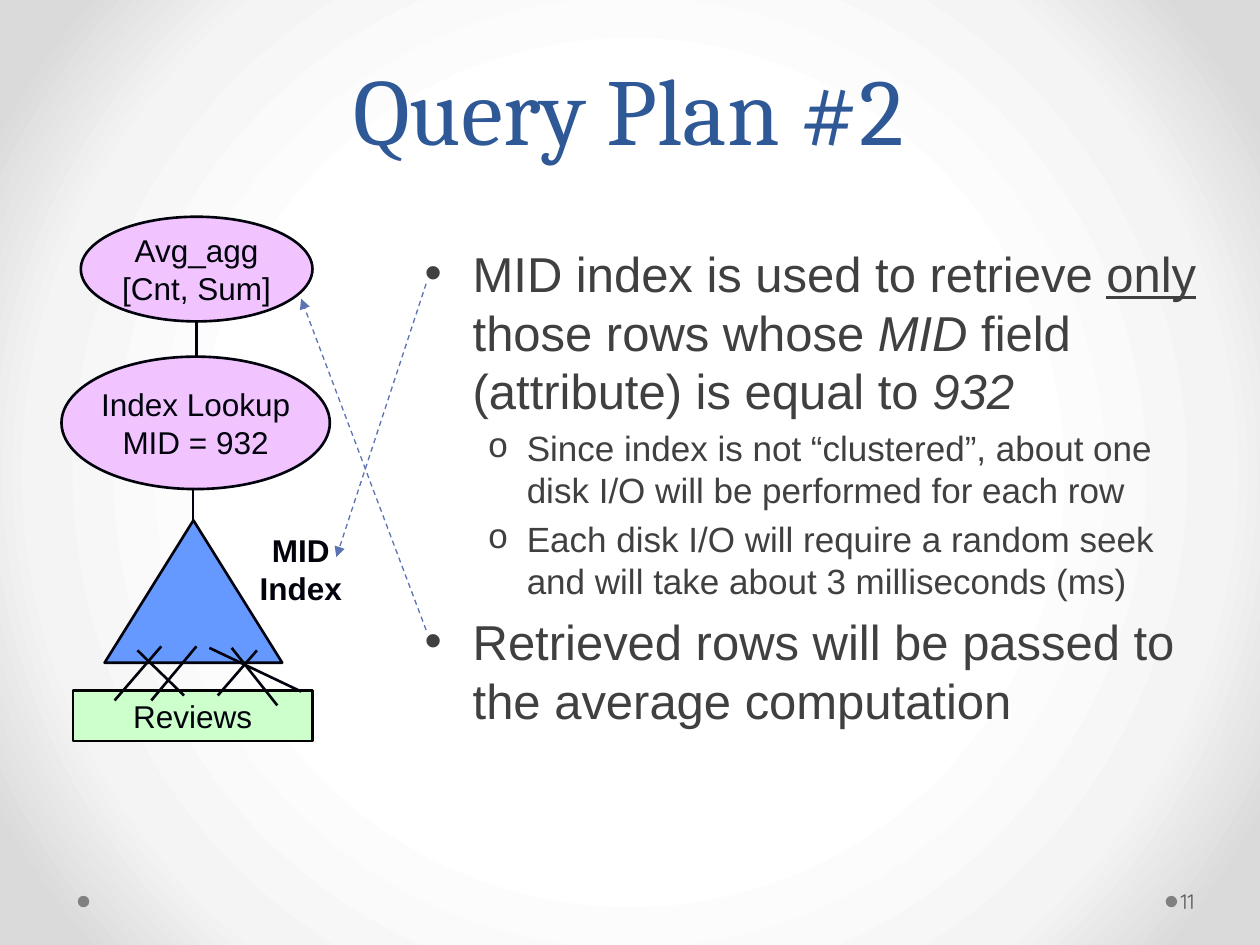
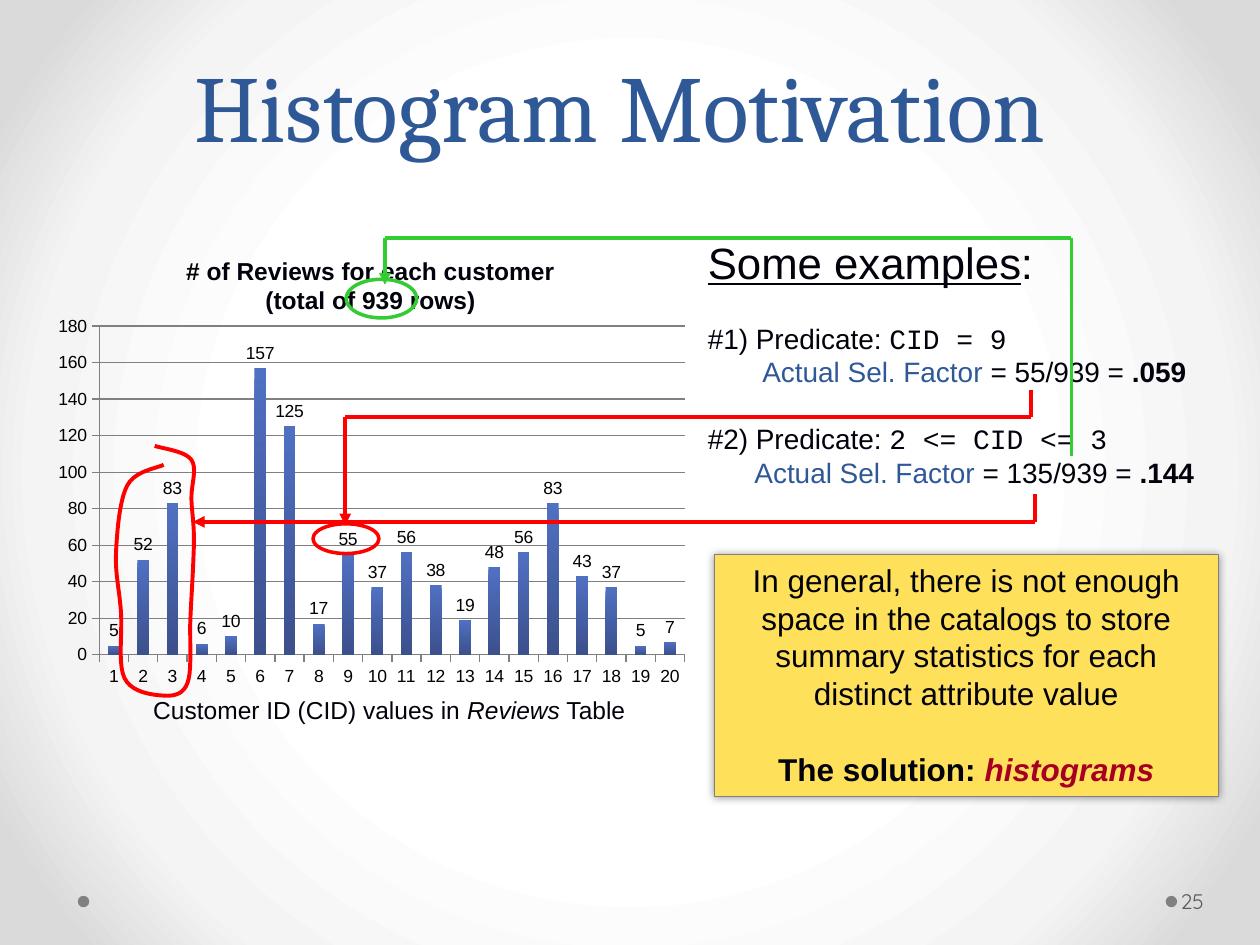
from dataclasses import dataclass

from lxml import etree
from pptx import Presentation
from pptx import util as u
from pptx.chart import data as chart_data
from pptx.dml.color import RGBColor
from pptx.enum import chart as charts, dml, shapes, text
from pptx.oxml import parse_xml
from pptx.oxml.ns import nsdecls, qn

TITLE_BLUE = RGBColor(0x2F, 0x58, 0x97)
INK = RGBColor(0x01, 0x02, 0x0B)
BLACK = RGBColor(0, 0, 0)
BODY_GRAY = RGBColor(0x40, 0x40, 0x40)
NUMBER_GRAY = RGBColor(0x59, 0x59, 0x59)
GRAY = RGBColor(0x80, 0x80, 0x80)
PINK = RGBColor(0xF1, 0xC4, 0xFF)
INDEX_BLUE = RGBColor(0x66, 0x99, 0xFF)
TABLE_GREEN = RGBColor(0xCC, 0xFF, 0xCC)
LINK_BLUE = RGBColor(0x5C, 0x72, 0xB2)
BAR_TOP = RGBColor(0x50, 0x70, 0xC2)
BAR_BOTTOM = RGBColor(0x3C, 0x50, 0x8C)
YELLOW = RGBColor(0xFF, 0xE0, 0x5B)
RED = RGBColor(0xFF, 0, 0)
GREEN = RGBColor(0x33, 0xCC, 0x33)
DARK_RED = RGBColor(0xA5, 0, 0x21)

BACKGROUND_STOPS = ((50, "FFFFFF"), (76, "F4F4F4"), (92, "DADADA"))
REVIEWS_PER_CUSTOMER = (5, 52, 83, 6, 10, 157, 125, 17, 55, 37,
                        56, 38, 19, 48, 56, 83, 43, 37, 5, 7)
LEFT, CENTER = text.PP_ALIGN.LEFT, text.PP_ALIGN.CENTER
TOP, MIDDLE, BOTTOM = (text.MSO_ANCHOR.TOP, text.MSO_ANCHOR.MIDDLE,
                       text.MSO_ANCHOR.BOTTOM)
OVAL = shapes.MSO_SHAPE.OVAL
RECTANGLE = shapes.MSO_SHAPE.RECTANGLE


@dataclass
class Para:
    """Spans are strings or (string, font settings) pairs; before is in points, indents in cm."""
    spans: tuple
    size: float = 18
    before: float = 0
    left: float = 0
    hang: float = 0
    bullet: str = ""
    bullet_font: str = "Arial"
    exact_line: float = 0


def set_font(font, color=None, **settings):
    for name, value in settings.items():
        setattr(font, name, value)
    if color is not None:
        font.color.rgb = color


def smooth_curve(points, steps=10):
    """Return points on a Catmull-Rom curve through the given points."""
    padded = [points[0], *points, points[-1]]
    curve = [points[0]]
    for a, b, c, d in zip(padded, padded[1:], padded[2:], padded[3:]):
        for step in range(1, steps + 1):
            t = step / steps
            curve.append(tuple(
                (2 * q + (r - p) * t + (2 * p - 5 * q + 4 * r - s) * t ** 2
                 + (3 * q - p - 3 * r + s) * t ** 3) / 2
                for p, q, r, s in zip(a, b, c, d)))
    return curve


class SlideBuilder:
    """Holds the deck, the shared style and the slide being filled."""

    def __init__(self):
        self.deck = Presentation()
        self.deck.slide_width, self.deck.slide_height = u.Cm(25.4), u.Cm(19.05)
        self.page = None

    def start(self, title, title_place, number):
        self.page = self.deck.slides.add_slide(self.deck.slide_layouts[6])
        self.background()
        for left in (23.5, 1.57):
            self.shape(OVAL, (left, 18.06, 0.23, 0.23), GRAY)
        self.text_box(title_place, [Para((title,), 54, exact_line=58)], CENTER,
                      BOTTOM, name="Cambria", color=TITLE_BLUE)
        box = self.text_box((23.72, 17.65, 1.55, 1.02), [Para((number,), 12)],
                            anchor=MIDDLE, name="Quicksand", color=NUMBER_GRAY)
        box.text_frame.margin_left = u.Cm(0.08)

    def background(self):
        self.page.background.fill.gradient()
        gradient = next(self.page.element.iter(qn("a:gradFill")))
        stops = "".join(f'<a:gs pos="{at}000"><a:srgbClr val="{color}"/></a:gs>'
                        for at, color in BACKGROUND_STOPS)
        gradient.getparent().replace(gradient, parse_xml(
            f'<a:gradFill {nsdecls("a")} rotWithShape="1"><a:gsLst>{stops}</a:gsLst>'
            '<a:path path="circle"><a:fillToRect l="50000" t="50000" r="50000" '
            'b="50000"/></a:path></a:gradFill>'))

    def fill_text(self, frame, paras, align=LEFT, anchor=TOP, wrap=True,
                  name="Arial", color=INK, bold=None):
        frame.word_wrap = wrap
        frame.vertical_anchor = anchor
        for index, item in enumerate(paras):
            para = frame.add_paragraph() if index else frame.paragraphs[0]
            para.alignment = align
            para.space_before = u.Pt(item.before)
            if item.exact_line:
                para.line_spacing = u.Pt(item.exact_line)
            properties = para._p.get_or_add_pPr()
            properties.set("marL", str(u.Cm(item.left)))
            properties.set("indent", str(u.Cm(-item.hang)))
            if item.bullet:
                etree.SubElement(properties, qn("a:buFont"), typeface=item.bullet_font)
                etree.SubElement(properties, qn("a:buChar"), char=item.bullet)
            set_font(para.font, color, name=name, size=u.Pt(item.size), bold=bold)
            for span in item.spans:
                words, settings = (span, {}) if isinstance(span, str) else span
                for row, line in enumerate(words.split("\n")):
                    if row:
                        para.add_line_break()
                    run = para.add_run()
                    run.text = line
                    set_font(run.font, **settings)

    def text_box(self, place, paras, *args, **settings):
        box = self.page.shapes.add_textbox(*map(u.Cm, place))
        self.fill_text(box.text_frame, paras, *args, **settings)
        return box

    def outline(self, shape, color, width):
        shape.line.color.rgb = color
        shape.line.width = u.Pt(width)

    def shape(self, kind, place, fill=None, line=None, width=1.5, label=None):
        shape = self.page.shapes.add_shape(kind, *map(u.Cm, place))
        shape.shadow.inherit = False
        if fill is None:
            shape.fill.background()
        else:
            shape.fill.solid()
            shape.fill.fore_color.rgb = fill
        if line is None:
            shape.line.fill.background()
        else:
            self.outline(shape, line, width)
        if label:
            self.fill_text(shape.text_frame, [Para((label,))], CENTER, MIDDLE,
                           wrap=False)
        return shape

    def glow(self, shape):
        """Give the shape a soft shadow on all sides."""
        effects = shape._element.spPr.find(qn("a:effectLst"))
        effects.append(parse_xml(
            f'<a:outerShdw {nsdecls("a")} blurRad="{u.Pt(5)}" dist="0" dir="0">'
            '<a:srgbClr val="000000"><a:alpha val="40000"/></a:srgbClr></a:outerShdw>'))

    def line(self, start, end, color=INK, width=1.5, dashed=False, arrow=False):
        line = self.page.shapes.add_connector(
            shapes.MSO_CONNECTOR.STRAIGHT, *map(u.Cm, (*start, *end)))
        self.outline(line, color, width)
        if dashed:
            line.line.dash_style = dml.MSO_LINE.DASH
        if arrow:
            etree.SubElement(line.line._get_or_add_ln(), qn("a:tailEnd"), type="triangle")
        etree.SubElement(line._element.spPr, qn("a:effectLst"))

    def route(self, points, color):
        """Draw straight legs through the points, with an arrowhead on the last."""
        for start, end in zip(points, points[1:]):
            self.line(start, end, color, 2.25, arrow=end == points[-1])

    def curve(self, points, color):
        first, *rest = [(u.Cm(x), u.Cm(y)) for x, y in smooth_curve(points)]
        builder = self.page.shapes.build_freeform(*first)
        builder.add_line_segments(rest, close=False)
        curve = builder.convert_to_shape()
        curve.shadow.inherit = False
        curve.fill.background()
        self.outline(curve, color, 2.25)

    def column_chart(self, place, values, plot_area):
        source = chart_data.CategoryChartData()
        source.categories = [str(number + 1) for number in range(len(values))]
        source.add_series("Series 1", values)
        chart = self.page.shapes.add_chart(
            charts.XL_CHART_TYPE.COLUMN_CLUSTERED, *map(u.Cm, place), source).chart
        chart.has_legend = chart.has_title = False
        set_font(chart.font, BLACK, name="Arial", size=u.Pt(10))

        plot = chart.plots[0]
        plot.gap_width = 150
        plot.vary_by_categories = False
        plot.has_data_labels = True
        plot.data_labels.show_value = True
        plot.data_labels.position = charts.XL_LABEL_POSITION.OUTSIDE_END
        fill = plot.series[0].format.fill
        fill.gradient()
        fill.gradient_angle = 270
        for stop, color in zip(fill.gradient_stops, (BAR_TOP, BAR_BOTTOM)):
            stop.color.rgb = color

        scale = chart.value_axis
        scale.minimum_scale, scale.maximum_scale, scale.major_unit = 0, 180, 20
        scale.has_major_gridlines = True
        for axis in (scale, chart.category_axis):
            axis.major_tick_mark = charts.XL_TICK_MARK.OUTSIDE
            axis.format.line.color.rgb = GRAY
        scale.major_gridlines.format.line.color.rgb = GRAY

        area = next(chart.element.iter(qn("c:plotArea")))
        for layout in area.findall(qn("c:layout")):
            area.remove(layout)
        sizes = "".join(f'<c:{key} val="{value}"/>'
                        for key, value in zip("xywh", plot_area))
        area.insert(0, parse_xml(
            f'<c:layout {nsdecls("c")}><c:manualLayout><c:layoutTarget val="inner"/>'
            f'<c:xMode val="edge"/><c:yMode val="edge"/>{sizes}'
            '</c:manualLayout></c:layout>'))


def add_query_plan(slide):
    slide.start("Query Plan #2", (1.24, 0.91, 22.86, 2.54), "11")
    italic = {"italic": True}
    main_point = {"size": 28, "left": 0.97, "hang": 0.97, "bullet": "•"}
    detail = {"size": 20, "before": 4, "left": 2.06, "hang": 0.79,
              "bullet": "o", "bullet_font": "Courier New"}
    slide.text_box((8.31, 4.78, 16.33, 11.4), [
        Para(("MID index is used to retrieve ", ("only", {"underline": True}),
              " those rows whose ", ("MID", italic),
              " field (attribute) is equal to ", ("932", italic)), **main_point),
        Para(("Since index is not “clustered”, about one disk I/O will be "
              "performed for each row",), **detail),
        Para(("Each disk I/O will require a random seek and will take about "
              "3 milliseconds (ms)",), **detail),
        Para(("Retrieved rows will be passed to the average computation",),
             before=5.6, **main_point),
    ], color=BODY_GRAY)

    slide.shape(OVAL, (1.63, 4.37, 4.67, 2.11), PINK, INK, label="Avg_agg\n[Cnt, Sum]")
    slide.shape(OVAL, (1.24, 7.19, 5.41, 2.67), PINK, INK,
                label="Index Lookup\nMID = 932")
    slide.line((3.96, 6.48), (3.96, 7.19))
    slide.text_box((4.67, 10.59, 2.79, 1.8), [Para(("MID Index",))], CENTER, bold=True)
    slide.line((3.89, 9.83), (3.89, 10.59))
    slide.shape(shapes.MSO_SHAPE.ISOSCELES_TRIANGLE, (2.11, 10.49, 3.58, 2.87),
                INDEX_BLUE, INK)
    slide.shape(RECTANGLE, (1.47, 13.92, 4.83, 1.02), TABLE_GREEN, BLACK,
                label="Reviews")
    row_pointers = (
        ((2.77, 13.11), (3.71, 14.02)), ((3.25, 13.03), (2.31, 14.12)),
        ((3.96, 13.03), (3.05, 14.12)), ((4.67, 13.06), (5.59, 14.22)),
        ((5.18, 13.11), (4.39, 14.02)), ((4.22, 13.06), (6.07, 13.94)))
    for start, end in row_pointers:
        slide.line(start, end)
    for start, end in (((8.59, 5.72), (6.78, 11.23)), ((8.59, 12.7), (6.07, 6.02))):
        slide.line(start, end, LINK_BLUE, 0.75, dashed=True, arrow=True)


def add_histogram_motivation(slide):
    slide.start("Histogram Motivation", (1.7, 1.22, 21.59, 2.16), "25")
    slide.column_chart((-0.97, 6.02, 14.86, 8.53), REVIEWS_PER_CUSTOMER,
                       (0.2, 0.065, 0.794, 0.777))
    slide.text_box((2.11, 5.03, 10.72, 1.45),
                   [Para(("# of Reviews for each customer",), 14),
                    Para(("(total of 939 rows)",), 14)], CENTER, bold=True)
    slide.text_box((2.84, 13.89, 10.08, 0.86), [
        Para(("Customer ID (CID) values in ", ("Reviews", {"italic": True}),
              " Table"), 14)], wrap=False)

    code, bold = {"name": "Courier New"}, {"bold": True}
    factor = ("Actual Sel. Factor", {"color": TITLE_BLUE})
    examples = [Para((("Some examples", {"underline": True}), ":"), 25)]
    for number, predicate, ratio, result, left in (
            (1, "CID = 9", "55/939", ".059", 1.1),
            (2, "2 <= CID <= 3", "135/939", ".144", 0.94)):
        examples += [
            Para((f"#{number}) Predicate: ", (predicate, code)), 16, before=19),
            Para((factor, f" = {ratio} = ", (result, bold)), 16, left=left)]
    slide.text_box((14.02, 4.62, 11.38, 6.12), examples)

    note = slide.shape(RECTANGLE, (14.4, 11.18, 10.16, 4.88), YELLOW, GRAY, 0.75)
    slide.glow(note)
    slide.fill_text(note.text_frame, [
        Para(("In general, there is not enough space in the catalogs to store "
              "summary statistics for each distinct attribute value",)),
        Para((("The solution: ", bold),
              ("histograms", {"bold": True, "italic": True, "color": DARK_RED})),
             before=21.5)], CENTER)

    slide.route(((20.79, 7.87), (20.79, 8.41), (6.96, 8.41), (6.96, 10.59)), RED)
    slide.route(((21.6, 9.19), (21.6, 4.8), (7.76, 4.8), (7.76, 5.74)), GREEN)
    slide.route(((20.86, 9.96), (20.86, 10.52), (3.89, 10.52)), RED)
    slide.curve([(3.3, 9.37), (2.57, 9.78), (2.34, 11.13), (2.44, 12.34),
                 (2.51, 13.67), (3.25, 14.02), (3.78, 13.77), (3.84, 12.45),
                 (3.91, 10.92), (3.86, 10.06), (3.86, 9.27), (3.12, 8.99)], RED)
    slide.shape(OVAL, (6.98, 5.63, 1.42, 0.78), line=GREEN, width=2)
    slide.shape(OVAL, (6.31, 10.56, 1.33, 0.6), line=RED, width=2)


def main():
    slide = SlideBuilder()
    add_query_plan(slide)
    add_histogram_motivation(slide)
    slide.deck.save("out.pptx")


if __name__ == "__main__":
    main()
